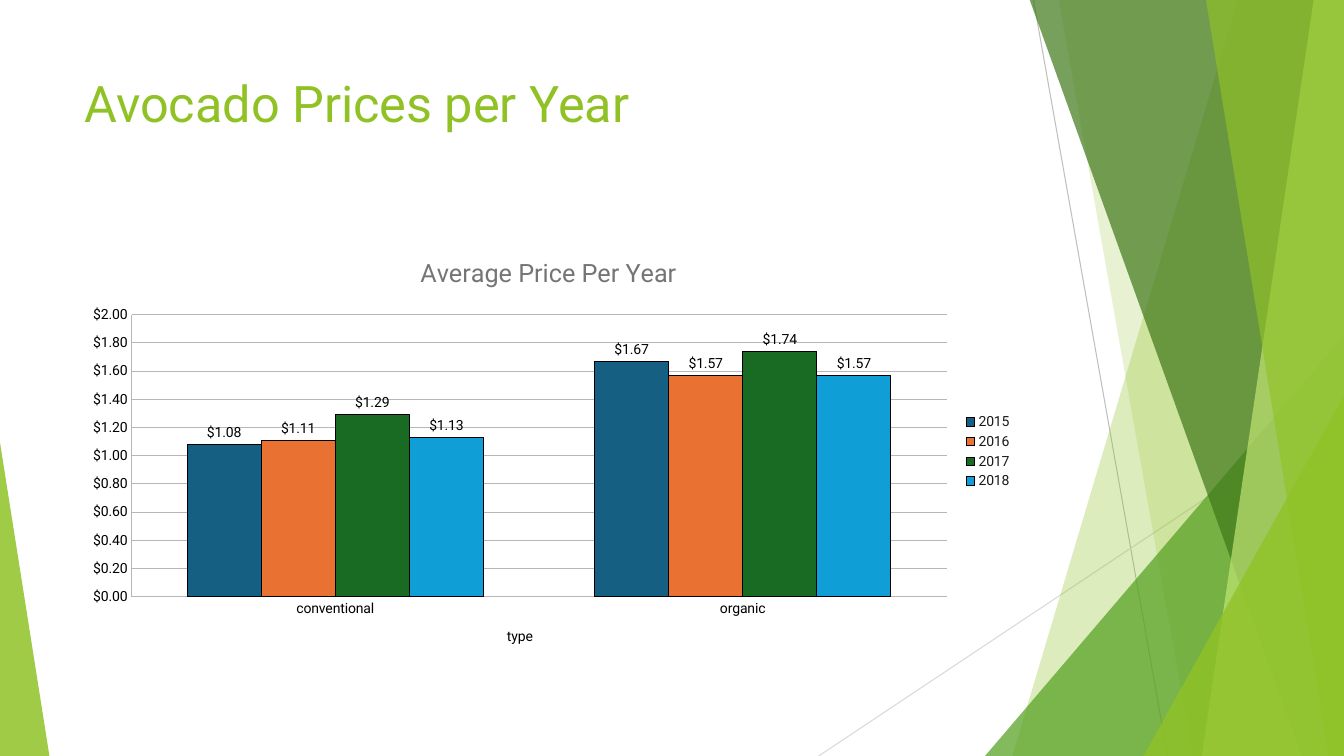
import dataclasses

import lxml.etree
import pptx
import pptx.chart.data
import pptx.dml.color
import pptx.enum.chart
import pptx.enum.shapes
import pptx.enum.text
import pptx.oxml
import pptx.oxml.ns
import pptx.util

Inches = pptx.util.Inches
Pt = pptx.util.Pt
qn = pptx.oxml.ns.qn

WIDTH, HEIGHT = 13.33, 7.5
TOP = -0.01
FONT = "Roboto"
PRICE = '"$"#,##0.00'
COLORS = {
    "lime": "90C226", "green": "54A021", "forest": "3F7819", "pale": "C0E474",
    "ray": "BFBFBF", "faint_ray": "D9D9D9", "grid": "B7B7B7",
    "black": "000000", "legend": "1A1A1A", "chart_title": "757575",
    "2015": "156082", "2016": "E97132", "2017": "196B24", "2018": "0F9ED5",
}
PRICES = {
    "2015": (1.08, 1.67),
    "2016": (1.11, 1.57),
    "2017": (1.29, 1.74),
    "2018": (1.13, 1.57),
}


@dataclasses.dataclass
class Ray:
    x1: float
    y1: float
    x2: float
    y2: float
    color: str


@dataclasses.dataclass
class Slant:
    top_x: float
    bottom_x: float
    color: str
    alpha: int


@dataclasses.dataclass
class Wedge:
    left: float
    top: float
    width: float
    peak: float
    color: str
    alpha: int


RAYS = [
    Ray(10.25, 0, 11.58, HEIGHT, "ray"),
    Ray(WIDTH, 4.03, 8.12, HEIGHT, "faint_ray"),
]
FACETS = [
    Slant(12.28, 10.04, "lime", 30),
    Slant(10.5, 11.83, "lime", 20),
    Wedge(9.77, 3.33, 3.56, 1, "green", 72),
    Slant(10.21, 12.91, "forest", 70),
    Slant(13.03, 11.92, "pale", 70),
    Slant(11.96, 13.18, "lime", 65),
    Wedge(11.34, 3.93, 1.99, 1, "lime", 80),
    Wedge(0, 4.39, 0.49, 0, "lime", 85),
]


def rgb(name: str) -> pptx.dml.color.RGBColor:
    return pptx.dml.color.RGBColor.from_string(COLORS[name])


def set_font(font, *, size: float, color: str, bold: bool = False) -> None:
    font.name = FONT
    font.size = Pt(size)
    font.bold = bold
    font.color.rgb = rgb(color)


def put_text(tf, text: str, **style) -> None:
    r = tf.paragraphs[0].add_run()
    r.text = text
    set_font(r.font, **style)


def set_line(line, color: str) -> None:
    line.color.rgb = rgb(color)
    line.width = Pt(0.75)


def draw_ray(slide, ray: Ray) -> None:
    sp = slide.shapes.add_connector(
        pptx.enum.shapes.MSO_CONNECTOR.STRAIGHT,
        Inches(ray.x1), Inches(ray.y1), Inches(ray.x2), Inches(ray.y2))
    set_line(sp.line, ray.color)
    lxml.etree.SubElement(sp._element.spPr, qn("a:effectLst"))


def draw_facet(slide, facet: Slant | Wedge) -> None:
    if isinstance(facet, Slant):
        builder = slide.shapes.build_freeform(Inches(facet.top_x), Inches(TOP))
        corners = [(WIDTH, TOP), (WIDTH, HEIGHT), (facet.bottom_x, HEIGHT)]
        builder.add_line_segments([(Inches(x), Inches(y)) for x, y in corners])
        sp = builder.convert_to_shape()
    else:
        sp = slide.shapes.add_shape(
            pptx.enum.shapes.MSO_SHAPE.ISOSCELES_TRIANGLE,
            Inches(facet.left), Inches(facet.top),
            Inches(facet.width), Inches(HEIGHT - facet.top))
        sp.adjustments[0] = facet.peak
    sp.shadow.inherit = False
    sp.line.fill.background()
    sp.fill.solid()
    sp.fill.fore_color.rgb = rgb(facet.color)
    color = sp._element.spPr.find(qn("a:solidFill"))[0]
    lxml.etree.SubElement(color, qn("a:alpha")).set("val", str(facet.alpha * 1000))


def draw_title(slide) -> None:
    sp = slide.shapes.add_textbox(Inches(0.74), Inches(0.67), Inches(9.4), Inches(1.44))
    tf = sp.text_frame
    tf.word_wrap = True
    tf.vertical_anchor = pptx.enum.text.MSO_ANCHOR.TOP
    put_text(tf, "Avocado Prices per Year", size=36, color="lime")


def place_plot(chart, x: float, y: float, w: float, h: float) -> None:
    plot_area = chart._chartSpace.chart.plotArea
    for old in plot_area.findall(qn("c:layout")):
        plot_area.remove(old)
    layout = lxml.etree.Element(qn("c:layout"))
    manual = lxml.etree.SubElement(layout, qn("c:manualLayout"))
    settings = {"layoutTarget": "inner", "xMode": "edge", "yMode": "edge",
                "x": x, "y": y, "w": w, "h": h}
    for tag, value in settings.items():
        lxml.etree.SubElement(manual, qn(f"c:{tag}")).set("val", str(value))
    plot_area.insert(0, layout)


def draw_chart(slide) -> None:
    data = pptx.chart.data.CategoryChartData(number_format=PRICE)
    data.categories = ["conventional", "organic"]
    for year, values in PRICES.items():
        data.add_series(year, values)
    chart = slide.shapes.add_chart(
        pptx.enum.chart.XL_CHART_TYPE.COLUMN_CLUSTERED,
        Inches(0.74), Inches(2.36), Inches(9.4), Inches(4.24), data).chart
    set_font(chart.font, size=10, color="black")
    chart.has_title = True
    put_text(chart.chart_title.text_frame, "Average Price Per Year",
             size=18, color="chart_title")
    chart.chart_title.include_in_layout = False
    chart.has_legend = True
    chart.legend.position = pptx.enum.chart.XL_LEGEND_POSITION.RIGHT
    chart.legend.include_in_layout = False
    set_font(chart.legend.font, size=10, color="legend")

    cat_axis, val_axis = chart.category_axis, chart.value_axis
    for axis in (cat_axis, val_axis):
        axis.major_tick_mark = pptx.enum.chart.XL_TICK_MARK.NONE
        axis.minor_tick_mark = pptx.enum.chart.XL_TICK_MARK.NONE
        set_font(axis.tick_labels.font, size=10, color="black")
        set_line(axis.format.line, "grid")
    put_text(cat_axis.axis_title.text_frame, "type", size=10, color="black")
    val_axis.minimum_scale, val_axis.maximum_scale = 0, 2
    val_axis.major_unit = 0.2
    val_axis.tick_labels.number_format = PRICE
    val_axis.tick_labels.number_format_is_linked = False
    set_line(val_axis.major_gridlines.format.line, "grid")

    plot = chart.plots[0]
    plot.gap_width = 150
    plot.overlap = 0
    plot.vary_by_categories = False
    for series in plot.series:
        series.format.fill.solid()
        series.format.fill.fore_color.rgb = rgb(series.name)
        set_line(series.format.line, "black")
        labels = series.data_labels
        labels.show_value = True
        labels.number_format = PRICE
        labels.number_format_is_linked = False
        labels.position = pptx.enum.chart.XL_LABEL_POSITION.OUTSIDE_END
        set_font(labels.font, size=10, color="black")
    place_plot(chart, 0.06, 0.18, 0.86, 0.66)


def main() -> None:
    prs = pptx.Presentation()
    prs.slide_width, prs.slide_height = Inches(WIDTH), Inches(HEIGHT)
    slide = prs.slides.add_slide(prs.slide_layouts[6])
    for ray in RAYS:
        draw_ray(slide, ray)
    for facet in FACETS:
        draw_facet(slide, facet)
    draw_title(slide)
    draw_chart(slide)
    prs.save("out.pptx")


if __name__ == "__main__":
    main()
